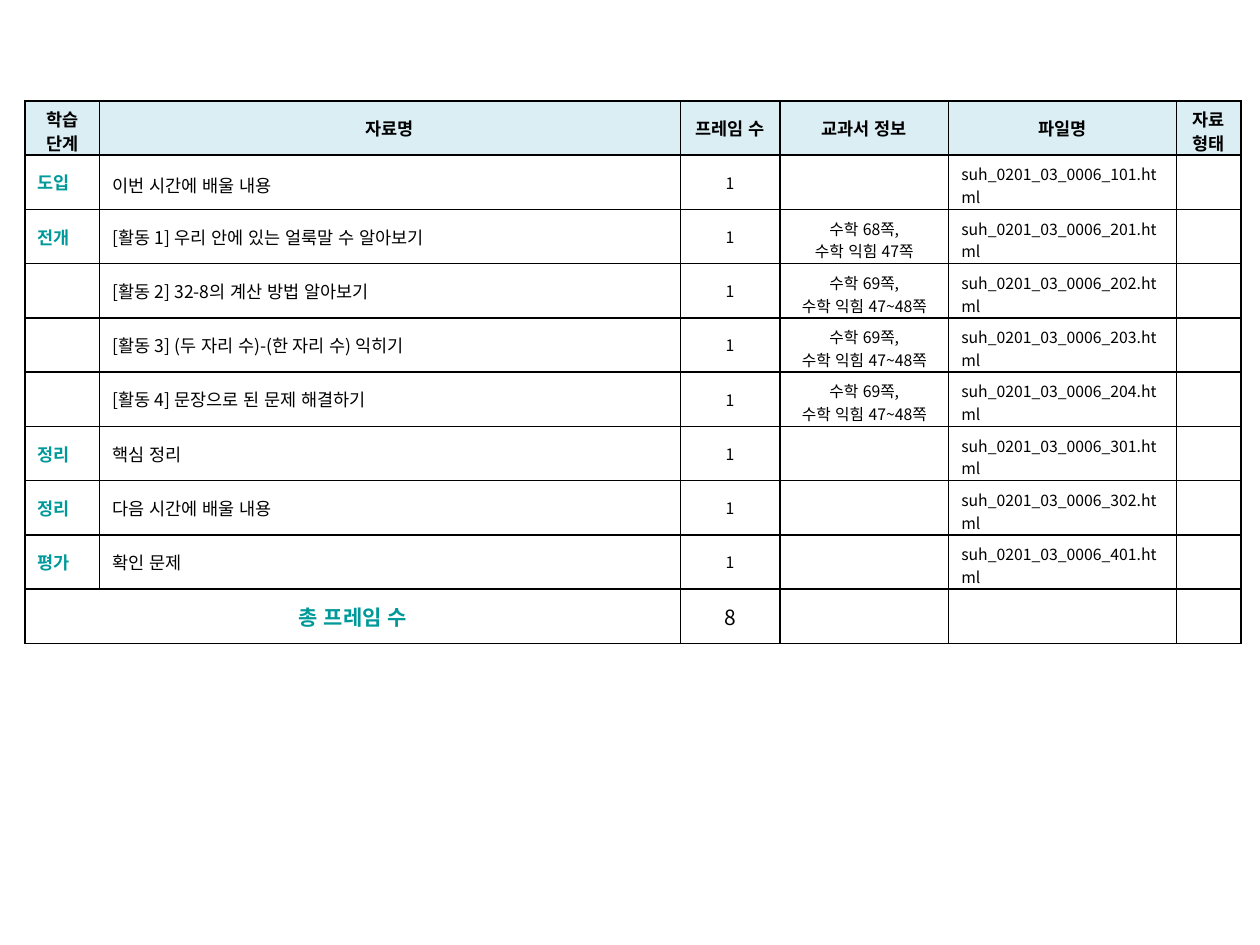
from lxml import etree
from pptx import Presentation
from pptx import util as u
from pptx.dml.color import RGBColor
from pptx.enum import lang, text
from pptx.oxml import ns

FONT = "Noto Sans CJK KR"
COLORS = {"ink": "000000", "teal": "009999", "header": "DBEEF4"}
COLUMN_WIDTHS = [0.59, 4.61, 0.79, 1.34, 1.81, 0.51]
HEADINGS = ["학습 단계", "자료명", "프레임 수", "교과서 정보", "파일명", "자료\n형태"]
LESSONS = [
    ("도입", "이번 시간에 배울 내용", "", "101"),
    ("전개", "[활동 1] 우리 안에 있는 얼룩말 수 알아보기", "수학 68쪽,\n수학 익힘 47쪽", "201"),
    ("", "[활동 2] 32-8의 계산 방법 알아보기", "수학 69쪽,\n수학 익힘 47~48쪽", "202"),
    ("", "[활동 3] (두 자리 수)-(한 자리 수) 익히기", "수학 69쪽,\n수학 익힘 47~48쪽", "203"),
    ("", "[활동 4] 문장으로 된 문제 해결하기", "수학 69쪽,\n수학 익힘 47~48쪽", "204"),
    ("정리", "핵심 정리", "", "301"),
    ("정리", "다음 시간에 배울 내용", "", "302"),
    ("평가", "확인 문제", "", "401"),
]
LEFT, CENTER, JUSTIFY = (
    text.PP_ALIGN.LEFT, text.PP_ALIGN.CENTER, text.PP_ALIGN.JUSTIFY)


def add_borders(cell):
    """Draw a one-point line on every side of a cell."""
    properties = cell._tc.get_or_add_tcPr()
    for index, side in enumerate(("lnL", "lnR", "lnT", "lnB")):
        line = etree.Element(ns.qn(f"a:{side}"), w=str(u.Pt(1)))
        fill = etree.SubElement(line, ns.qn("a:solidFill"))
        etree.SubElement(fill, ns.qn("a:srgbClr"), val=COLORS["ink"])
        properties.insert(index, line)


def write_cell(cell, content, size=9, color="ink", bold=False, align=LEFT,
               spacing=None, fill=None, bottom=0.05):
    """Write the lines of a cell and format them."""
    cell.vertical_anchor = text.MSO_ANCHOR.MIDDLE
    cell.margin_bottom = u.Inches(bottom)
    if fill:
        cell.fill.solid()
        cell.fill.fore_color.rgb = RGBColor.from_string(COLORS[fill])
    else:
        cell.fill.background()
    add_borders(cell)
    cell.text_frame.text = content
    for paragraph in cell.text_frame.paragraphs:
        paragraph.alignment = align
        if spacing:
            paragraph.line_spacing = spacing
        for run in paragraph.runs:
            run.font.name = FONT
            run.font.size = u.Pt(size)
            run.font.bold = bold
            run.font.language_id = lang.MSO_LANGUAGE_ID.KOREAN
            run.font.color.rgb = RGBColor.from_string(COLORS[color])
            etree.SubElement(run.font._element, ns.qn("a:ea"), typeface=FONT)
        if not paragraph.runs:
            etree.SubElement(
                paragraph._p, ns.qn("a:endParaRPr"), sz=str(size * 100))


def write_headings(cells):
    """Fill the heading row, with tighter lines where a heading wraps."""
    for cell, heading in zip(cells, HEADINGS):
        wraps = heading in (HEADINGS[0], HEADINGS[-1])
        write_cell(cell, heading, size=10, bold=True, align=CENTER, fill="header",
                   spacing=0.94 if wraps else None, bottom=0 if wraps else 0.05)


def write_lesson(cells, lesson, spacing):
    """Fill one lesson row."""
    stage, title, pages, number = lesson
    write_cell(cells[0], stage, size=10, color="teal", bold=True, align=JUSTIFY)
    write_cell(cells[1], title, size=10, spacing=spacing,
               align=JUSTIFY if spacing else LEFT)
    write_cell(cells[2], "1", align=CENTER)
    write_cell(cells[3], pages, align=CENTER, bottom=0)
    write_cell(cells[4], f"suh_0201_03_0006_{number}.html", bottom=0)
    write_cell(cells[5], "")


def write_total(cells):
    """Fill the total row with its merged label."""
    cells[0].merge(cells[1])
    write_cell(cells[0], "총 프레임 수", size=12, color="teal", bold=True, align=CENTER)
    write_cell(cells[1], "")
    write_cell(cells[2], str(len(LESSONS)), size=12, align=CENTER)
    for cell in cells[3:]:
        write_cell(cell, "")


def add_lesson_table(slide, left, top, width, height):
    """Place the lesson table in the given box."""
    row_count = len(LESSONS) + 2
    table = slide.shapes.add_table(
        row_count, len(HEADINGS), left, top, width, height).table
    table.first_row = table.horz_banding = False
    for column, column_width in zip(table.columns, COLUMN_WIDTHS):
        column.width = u.Inches(column_width)
    rows = [list(row.cells) for row in table.rows]
    write_headings(rows[0])
    for index, lesson in enumerate(LESSONS):
        write_lesson(rows[index + 1], lesson, spacing=None if index else 1.2)
    write_total(rows[-1])


def main():
    """Build and save the presentation."""
    presentation = Presentation()
    presentation.slide_width = u.Inches(10)
    presentation.slide_height = u.Inches(7.5)
    slide = presentation.slides.add_slide(presentation.slide_layouts[6])
    add_lesson_table(
        slide, u.Inches(0.2), u.Inches(0.8), u.Inches(9.65), u.Inches(4.31))
    presentation.save("out.pptx")


if __name__ == "__main__":
    main()
